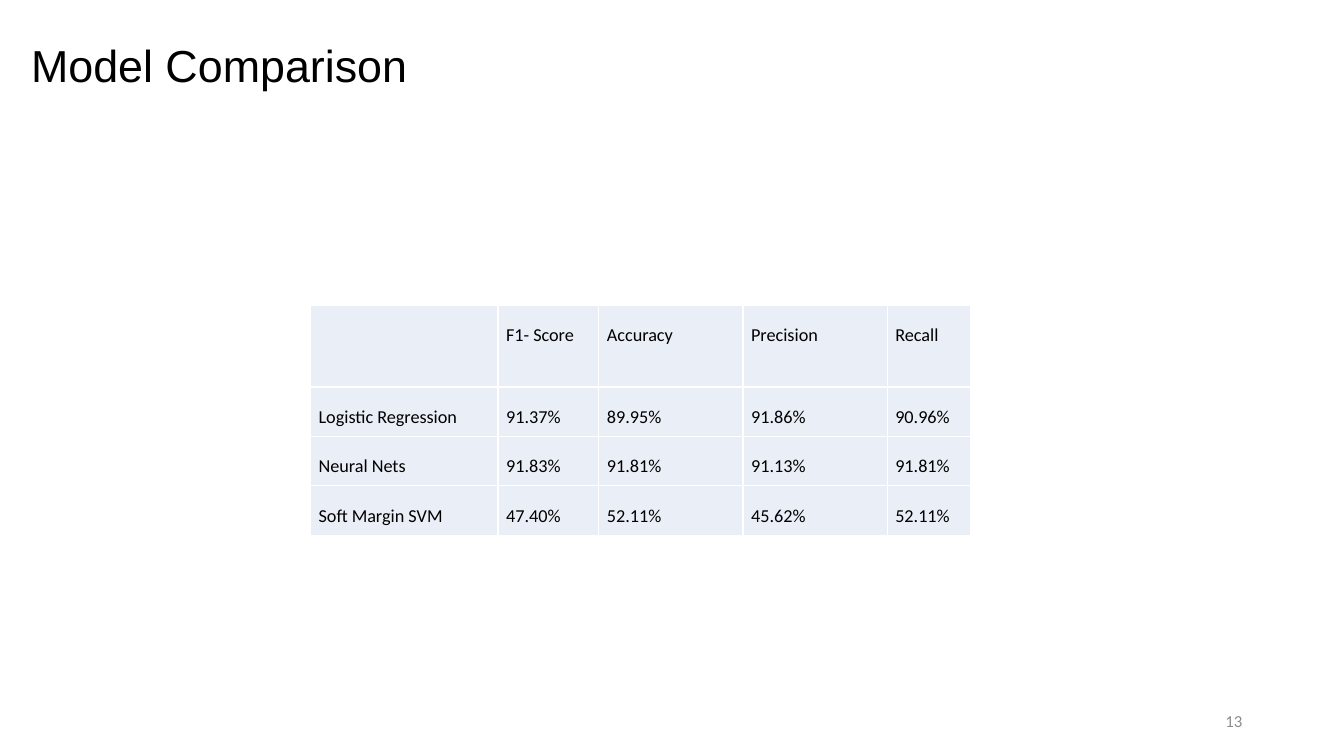
from dataclasses import dataclass

from lxml.etree import SubElement
from pptx import Presentation
from pptx.dml.color import RGBColor
from pptx.enum.text import MSO_ANCHOR, PP_ALIGN
from pptx.oxml.ns import qn
from pptx.slide import Slide
from pptx.table import _Cell
from pptx.text.text import _Paragraph
from pptx.util import Inches, Pt

COLORS = {"text": "000000", "number": "8C8C8C", "cell": "EAEFF7", "border": "FFFFFF"}
HEADINGS = ("", "F1- Score", "Accuracy", "Precision", "Recall")
COLUMN_WIDTHS = (1.86, 1, 1.43, 1.43, 0.83)
HEADER_HEIGHT = 0.81
ROW_HEIGHT = 0.48


@dataclass
class Label:
    text: str
    left: float
    top: float
    width: float
    height: float
    size: float
    font: str
    color: str
    align: PP_ALIGN
    spacing: float


@dataclass
class Model:
    name: str
    scores: tuple[str, ...]


LABELS = (
    Label("Model Comparison", 0.21, 0.25, 13.33, 0.85, 32, "Arial", "text", PP_ALIGN.LEFT, 0.9),
    Label("13", 9.42, 6.95, 3, 0.4, 12, "Calibri", "number", PP_ALIGN.RIGHT, 1),
)
MODELS = (
    Model("Logistic Regression", ("91.37%", "89.95%", "91.86%", "90.96%")),
    Model("Neural Nets", ("91.83%", "91.81%", "91.13%", "91.81%")),
    Model("Soft Margin SVM", ("47.40%", "52.11%", "45.62%", "52.11%")),
)


def style_paragraph(para: _Paragraph, font: str, size: float, color: str, spacing: float) -> None:
    para.font.name = font
    para.font.size = Pt(size)
    para.font.bold = False
    para.font.color.rgb = RGBColor.from_string(COLORS[color])
    para.line_spacing = spacing


def add_label(page: Slide, label: Label) -> None:
    box = page.shapes.add_textbox(
        Inches(label.left), Inches(label.top), Inches(label.width), Inches(label.height)
    )
    frame = box.text_frame
    frame.word_wrap = True
    frame.vertical_anchor = MSO_ANCHOR.MIDDLE
    frame.text = label.text
    para = frame.paragraphs[0]
    para.alignment = label.align
    style_paragraph(para, label.font, label.size, label.color, label.spacing)


def add_borders(cell: _Cell) -> None:
    properties = cell._tc.get_or_add_tcPr()
    for position, side in enumerate(("a:lnL", "a:lnR", "a:lnT", "a:lnB")):
        line = SubElement(properties, qn(side), w=str(Pt(1)))
        fill = SubElement(line, qn("a:solidFill"))
        SubElement(fill, qn("a:srgbClr"), val=COLORS["border"])
        properties.insert(position, line)


def fill_cell(cell: _Cell, text: str) -> None:
    cell.fill.solid()
    cell.fill.fore_color.rgb = RGBColor.from_string(COLORS["cell"])
    cell.margin_left = cell.margin_right = Inches(0.08)
    cell.margin_top = cell.margin_bottom = Inches(0.08)
    cell.text = text
    style_paragraph(cell.text_frame.paragraphs[0], "Calibri", 13, "text", 1.5)
    add_borders(cell)


def add_score_table(page: Slide) -> None:
    rows = [HEADINGS, *((model.name, *model.scores) for model in MODELS)]
    heights = [HEADER_HEIGHT] + [ROW_HEIGHT] * len(MODELS)
    table = page.shapes.add_table(
        len(rows), len(HEADINGS), Inches(3.08), Inches(3.03),
        Inches(sum(COLUMN_WIDTHS)), Inches(sum(heights)),
    ).table
    for column, width in zip(table.columns, COLUMN_WIDTHS):
        column.width = Inches(width)
    for row, height, texts in zip(table.rows, heights, rows):
        row.height = Inches(height)
        for cell, text in zip(row.cells, texts):
            fill_cell(cell, text)


def main() -> None:
    deck = Presentation()
    deck.slide_width = Inches(13.33)
    deck.slide_height = Inches(7.5)
    page = deck.slides.add_slide(deck.slide_layouts[6])
    add_score_table(page)
    for label in LABELS:
        add_label(page, label)
    deck.save("out.pptx")


if __name__ == "__main__":
    main()
